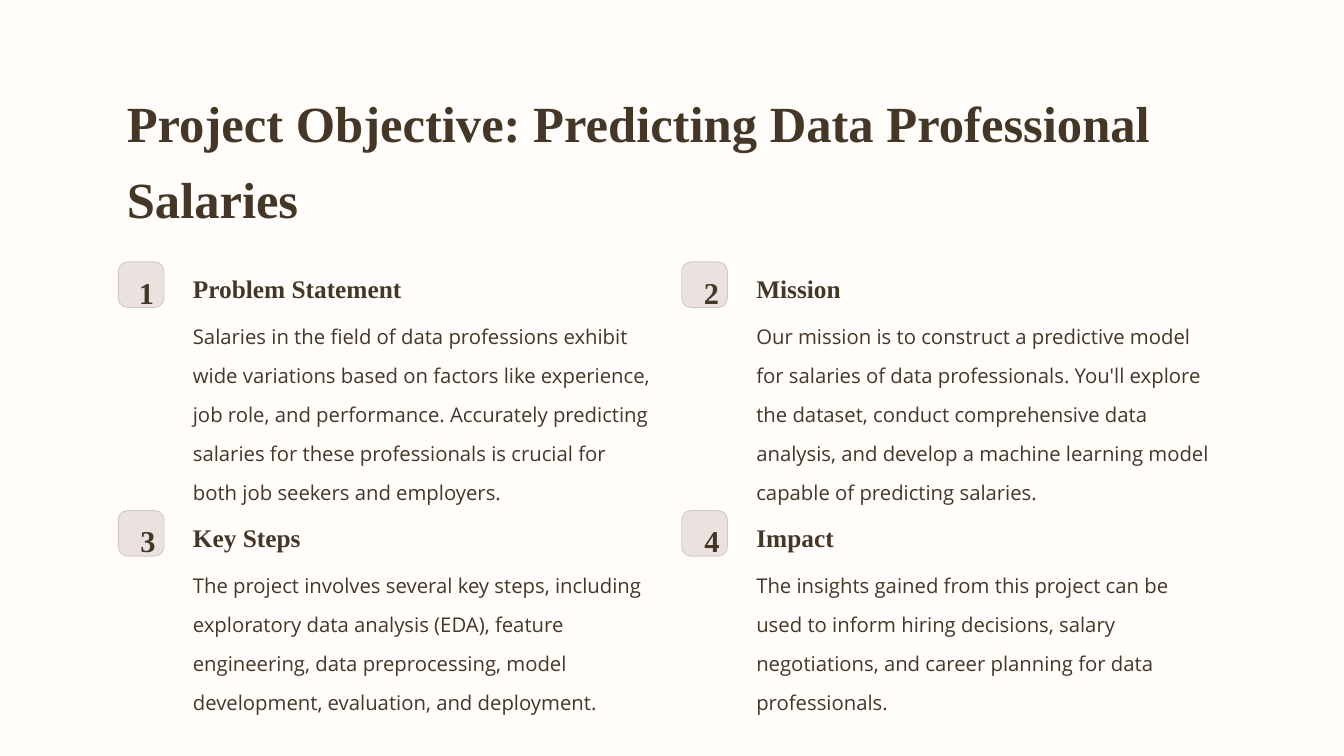
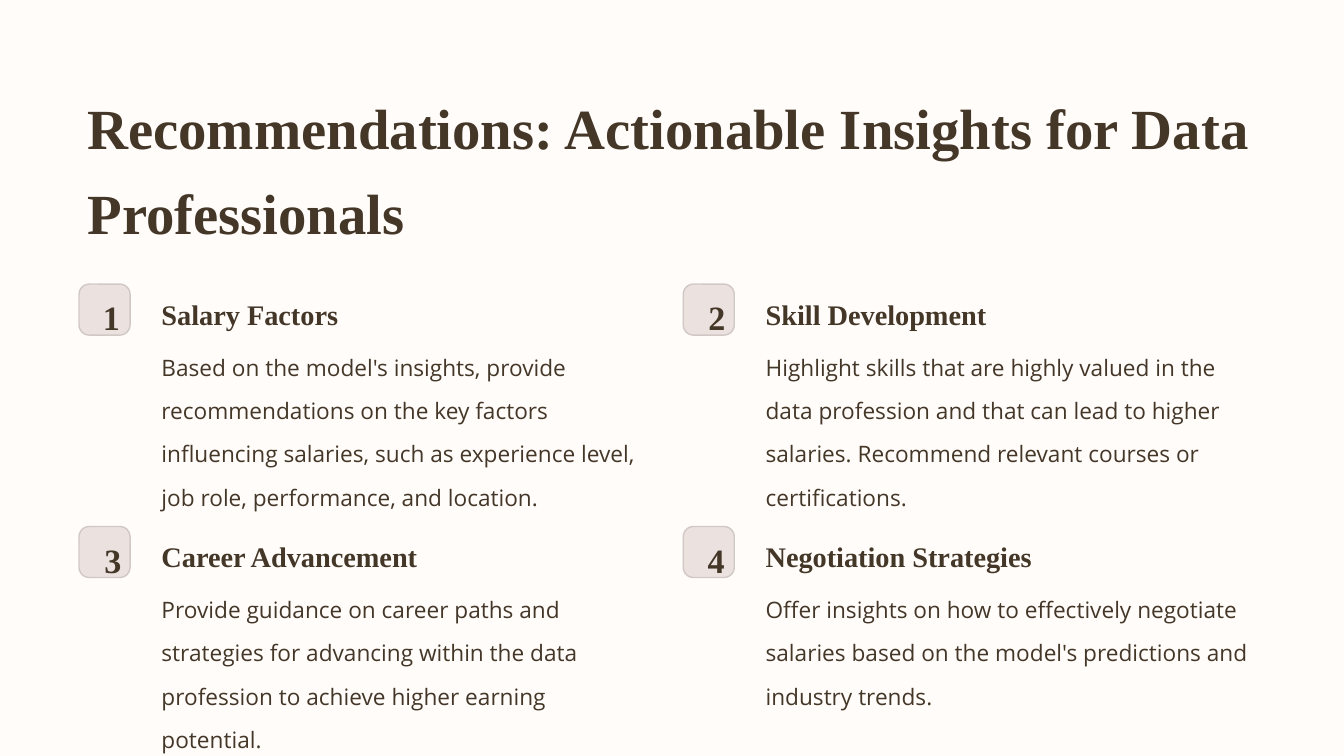
from dataclasses import dataclass

from pptx import Presentation
from pptx.dml.color import RGBColor
from pptx.enum.shapes import MSO_SHAPE
from pptx.enum.text import MSO_ANCHOR, MSO_AUTO_SIZE, PP_ALIGN
from pptx.util import Cm, Pt

INK = "443728"
PAPER = "FFFCFA"
BADGE_FILL = "EBE2E0"
BADGE_LINE = "D1C8C6"
SERIF = "Times New Roman"
SANS = "Open Sans"
CM_PER_POINT = 2.54 / 72
DIGIT_WIDTHS = (0.58, 0.75, 0.75, 0.83)  # in units of the body size


@dataclass
class Box:
    """A region of the page in centimetres."""
    left: float
    top: float
    width: float
    height: float

    def lengths(self):
        return Cm(self.left), Cm(self.top), Cm(self.width), Cm(self.height)


@dataclass
class Topic:
    heading: str
    body: str
    lines: int
    heading_width: float = 12.5


@dataclass
class TopicPage:
    """Everything on a page scales with its body size, in points."""
    title: str
    title_box: Box
    body_size: float
    row_tops: tuple
    badge_line: float
    topics: tuple


PAGES = (
    TopicPage(
        "Project Objective: Predicting Data Professional Salaries",
        Box(3.58, 2.18, 33.45, 3.84), 17.36, (7.92, 15.44), 0.75,
        (
            Topic("Problem Statement",
                  "Salaries in the field of data professions exhibit wide variations "
                  "based on factors like experience, job role, and performance. "
                  "Accurately predicting salaries for these professionals is crucial "
                  "for both job seekers and employers.", 5),
            Topic("Mission",
                  "Our mission is to construct a predictive model for salaries of data "
                  "professionals. You'll explore the dataset, conduct comprehensive "
                  "data analysis, and develop a machine learning model capable of "
                  "predicting salaries.", 5),
            Topic("Key Steps",
                  "The project involves several key steps, including exploratory data "
                  "analysis (EDA), feature engineering, data preprocessing, model "
                  "development, evaluation, and deployment.", 4),
            Topic("Impact",
                  "The insights gained from this project can be used to inform hiring "
                  "decisions, salary negotiations, and career planning for data "
                  "professionals.", 3),
        )),
    TopicPage(
        "Recommendations: Actionable Insights for Data Professionals",
        Box(2.39, 2.16, 35.84, 4.29), 19.44, (8.59, 15.92), 1.2,
        (
            Topic("Salary Factors",
                  "Based on the model's insights, provide recommendations on the key "
                  "factors influencing salaries, such as experience level, job role, "
                  "performance, and location.", 4),
            Topic("Skill Development",
                  "Highlight skills that are highly valued in the data profession and "
                  "that can lead to higher salaries. Recommend relevant courses or "
                  "certifications.", 3),
            Topic("Career Advancement",
                  "Provide guidance on career paths and strategies for advancing "
                  "within the data profession to achieve higher earning potential.", 3),
            Topic("Negotiation Strategies",
                  "Offer insights on how to effectively negotiate salaries based on "
                  "the model's predictions and industry trends.", 3, 18),
        )),
)


def color(value):
    return RGBColor.from_string(value)


def write(shape, text, size, font=SERIF, bold=True, spacing=1.25, align=PP_ALIGN.LEFT):
    frame = shape.text_frame
    frame.text = text
    frame.word_wrap = True
    frame.auto_size = MSO_AUTO_SIZE.NONE
    frame.vertical_anchor = MSO_ANCHOR.TOP
    para = frame.paragraphs[0]
    para.alignment = align
    para.line_spacing = spacing
    span = para.runs[0]
    span.font.name = font
    span.font.size = Pt(round(size, 1))
    span.font.bold = bold
    span.font.color.rgb = color(INK)


def add_text(page, box, text, size, **style):
    write(page.shapes.add_textbox(*box.lengths()), text, size, **style)


def add_title(page, box, text, size):
    title = page.shapes.title
    title.left, title.top, title.width, title.height = box.lengths()
    write(title, text, size)


def add_badge(page, box, number, size, line_width):
    badge = page.shapes.add_shape(MSO_SHAPE.ROUNDED_RECTANGLE, *box.lengths())
    badge.adjustments[0] = 0.2
    badge.shadow.inherit = False
    badge.fill.solid()
    badge.fill.fore_color.rgb = color(BADGE_FILL)
    badge.line.color.rgb = color(BADGE_LINE)
    badge.line.width = Pt(line_width)

    unit = size * CM_PER_POINT
    width = DIGIT_WIDTHS[number - 1] * unit
    digit_box = Box(box.left + (box.width - width) / 2, box.top + 0.38 * unit,
                    width, 1.5 * unit)
    add_text(page, digit_box, str(number), size * 1.5,
             spacing=1.0, align=PP_ALIGN.CENTER)


def add_topic(page, left, top, width, number, topic, size, line_width):
    unit = size * CM_PER_POINT
    badge_side = 2.25 * unit
    indent = badge_side + 1.02 * unit
    text_left = left + indent
    add_badge(page, Box(left, top, badge_side, badge_side), number, size, line_width)
    add_text(page, Box(text_left, top, topic.heading_width * unit, 1.56 * unit),
             topic.heading, size * 1.25)
    add_text(page, Box(text_left, top + 2.16 * unit, width - indent,
                       topic.lines * 1.6 * unit),
             topic.body, size, font=SANS, bold=False, spacing=1.6)


def add_topic_page(deck, content):
    page = deck.slides.add_slide(deck.slide_layouts[5])
    box, size = content.title_box, content.body_size
    add_title(page, box, content.title, size * 2.5)
    gap = 1.02 * size * CM_PER_POINT
    column_width = (box.width - gap) / 2
    for index, topic in enumerate(content.topics):
        row, column = divmod(index, 2)
        add_topic(page, box.left + column * (column_width + gap),
                  content.row_tops[row], column_width, index + 1, topic, size,
                  content.badge_line)


def main():
    deck = Presentation()
    deck.slide_width, deck.slide_height = Cm(40.64), Cm(22.86)
    background = deck.slide_master.background.fill
    background.solid()
    background.fore_color.rgb = color(PAPER)
    for content in PAGES:
        add_topic_page(deck, content)
    deck.save("out.pptx")


if __name__ == "__main__":
    main()
